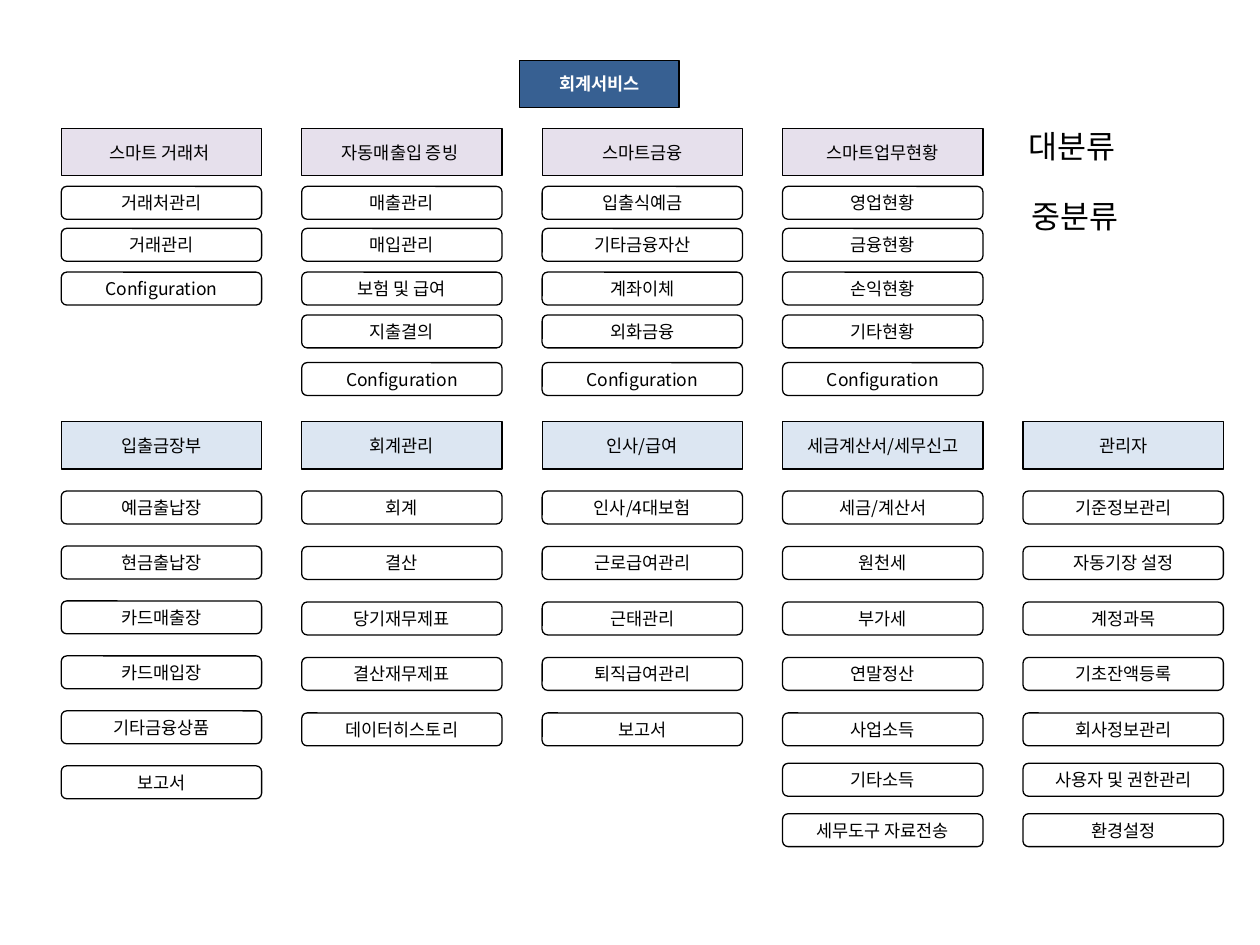
"""Build the menu chart of an accounting service, with major and middle categories."""
import pptx
import pptx.dml.color
import pptx.enum.shapes
import pptx.enum.text
import pptx.oxml
import pptx.oxml.ns
import pptx.util

Pt = pptx.util.Pt
RGBColor = pptx.dml.color.RGBColor
Shape = pptx.enum.shapes.MSO_SHAPE
Align = pptx.enum.text.PP_ALIGN

BLACK = RGBColor(0x00, 0x00, 0x00)
WHITE = RGBColor(0xFF, 0xFF, 0xFF)
NAVY = RGBColor(0x37, 0x60, 0x92)
LILAC = RGBColor(0xE6, 0xE0, 0xEC)
PALE_BLUE = RGBColor(0xDC, 0xE6, 0xF2)
FONT = "Noto Sans CJK KR"

LEFT, COLUMN_PITCH, BOX_WIDTH = 35, 137.4, 114.5
HEADER_HEIGHT, ITEM_HEIGHT = 27, 18.8


def write(box, text, size=10, color=BLACK, bold=None, align=None):
    frame = box.text_frame
    frame.word_wrap = True
    para = frame.paragraphs[0]
    para.alignment = align
    span = para.add_run()
    span.text = text
    span.font.size = Pt(size)
    span.font.bold = bold
    span.font.color.rgb = color
    span.font.name = FONT
    east_asian = pptx.oxml.parse_xml(f'<a:ea {pptx.oxml.ns.nsdecls("a")} typeface="{FONT}"/>')
    span.font._element.find(pptx.oxml.ns.qn("a:latin")).addnext(east_asian)


def add_box(kind, left, top, width, height, text, fill=None, **text_format):
    box = page.shapes.add_shape(kind, Pt(left), Pt(top), Pt(width), Pt(height))
    box.shadow.inherit = False
    if fill is None:
        box.fill.background()
    else:
        box.fill.solid()
        box.fill.fore_color.rgb = fill
    box.line.color.rgb = BLACK
    box.line.width = Pt(0.75)
    box.text_frame.vertical_anchor = pptx.enum.text.MSO_ANCHOR.MIDDLE
    write(box, text, align=Align.CENTER, **text_format)


smart_tops = [106.5, 130.5, 155.5, 180, 207.2]
ledger_tops = [280.6 + 31.4 * row for row in range(6)]
office_tops = [280.6 + 31.7 * row for row in range(5)] + [436.2, 465]

smart_menus = {
    "스마트 거래처 ": ["거래처관리", "거래관리", "Configuration"],
    "자동매출입 증빙 ": ["매출관리", "매입관리", "보험 및 급여", "지출결의", "Configuration"],
    "스마트금융": ["입출식예금", "기타금융자산", "계좌이체", "외화금융", "Configuration"],
    "스마트업무현황": ["영업현황", "금융현황", "손익현황", "기타현황", "Configuration"],
}
ledger_menus = {
    "입출금장부": ["예금출납장", "현금출납장", "카드매출장", "카드매입장", "기타금융상품", "보고서"],
}
office_menus = {
    "회계관리": ["회계", "결산", "당기재무제표", "결산재무제표", "데이터히스토리"],
    "인사/급여": ["인사/4대보험", "근로급여관리", "근태관리", "퇴직급여관리", "보고서"],
    "세금계산서/세무신고": ["세금/계산서", "원천세", "부가세", "연말정산", "사업소득",
                    "기타소득", "세무도구 자료전송"],
    "관리자": ["기준정보관리", "자동기장 설정", "계정과목", "기초잔액등록", "회사정보관리",
            "사용자 및 권한관리", "환경설정"],
}
sections = [
    (73.4, LILAC, 0, smart_tops, smart_menus),
    (241, PALE_BLUE, 0, ledger_tops, ledger_menus),
    (241, PALE_BLUE, 1, office_tops, office_menus),
]

deck = pptx.Presentation()
deck.slide_width, deck.slide_height = Pt(720), Pt(540)
page = deck.slides.add_slide(deck.slide_layouts[6])

add_box(Shape.RECTANGLE, 296.7, 34.4, 91.4, HEADER_HEIGHT, "회계서비스",
        fill=NAVY, color=WHITE, bold=True)

for header_top, header_fill, first_column, item_tops, menus in sections:
    for column, (header, items) in enumerate(menus.items(), first_column):
        left = LEFT + column * COLUMN_PITCH
        add_box(Shape.RECTANGLE, left, header_top, BOX_WIDTH, HEADER_HEIGHT, header,
                fill=header_fill)
        for top, item in zip(item_tops, items):
            add_box(Shape.ROUNDED_RECTANGLE, left, top, BOX_WIDTH, ITEM_HEIGHT, item)

for left, top, label in [(580.5, 69, "대분류"), (582.5, 109, "중분류")]:
    box = page.shapes.add_textbox(Pt(left), Pt(top), Pt(102), Pt(29))
    box.text_frame.auto_size = pptx.enum.text.MSO_AUTO_SIZE.SHAPE_TO_FIT_TEXT
    write(box, label, size=18)

deck.save("out.pptx")
